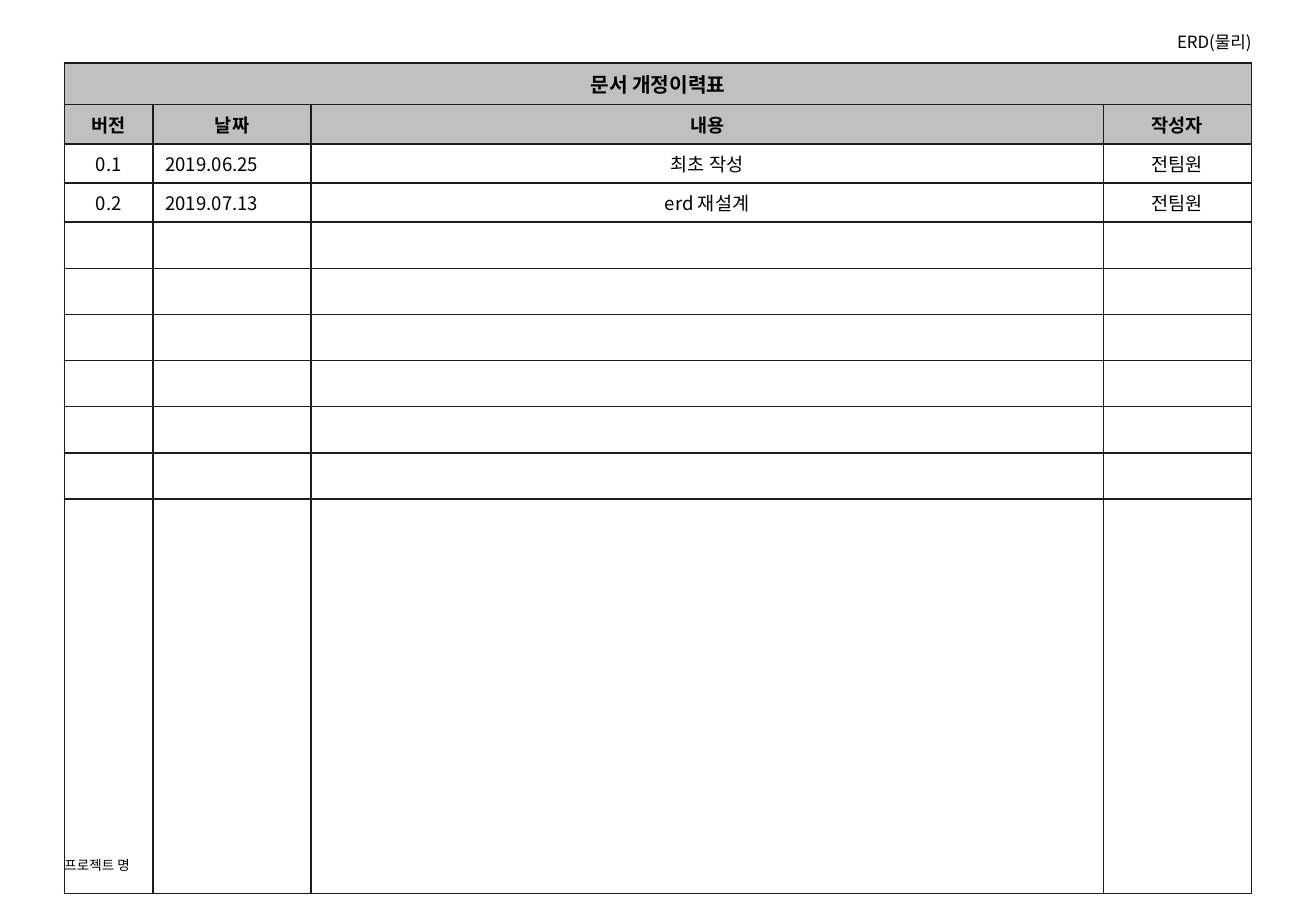
from dataclasses import dataclass

from lxml.etree import SubElement
from pptx import Presentation
from pptx.dml.color import RGBColor
from pptx.enum.text import MSO_ANCHOR as Anchor, MSO_AUTO_SIZE as AutoSize, PP_ALIGN as Align
from pptx.oxml.ns import qn
from pptx.util import Emu, Inches, Pt

FONT = "Noto Sans CJK KR"
INK, BORDER, HEADER_FILL = "000000", "1C1C1C", "C0C0C0"
WIDTH, HEIGHT = Inches(10.83), Inches(7.5)
LEFT, TOP = Inches(0.53), Inches(0.52)
COLUMNS = [0.73, 1.3, 6.52, 1.22]
ROWS = [0.34] + [0.32] * 3 + [0.38] * 6 + [3.25]


@dataclass
class TextStyle:
    size: float
    bold: bool = False
    align: Align = Align.CENTER


@dataclass
class Label:
    text: str
    left: float
    top: float
    width: float
    height: float
    style: TextStyle


@dataclass
class HistoryRow:
    texts: list[str]
    styles: list[TextStyle]
    fill: str | None = None


HEADING = TextStyle(12, True)
COLUMN_HEAD = TextStyle(11, True)
ENTRY = TextStyle(11)
DATE = TextStyle(11, align=Align.LEFT)
ENTRY_STYLES = [ENTRY, DATE, ENTRY, ENTRY]

HISTORY = [
    HistoryRow(["문서 개정이력표", "", "", ""], [HEADING] * 4, HEADER_FILL),
    HistoryRow(["버전", "날짜", "내용", "작성자"], [COLUMN_HEAD] * 4, HEADER_FILL),
    HistoryRow(["0.1", "2019.06.25", "최초 작성", "전팀원"], ENTRY_STYLES),
    HistoryRow(["0.2", "2019.07.13", "erd 재설계", "전팀원"], ENTRY_STYLES),
]
HISTORY += [HistoryRow([""] * 4, ENTRY_STYLES) for _ in ROWS[len(HISTORY):]]

DOCUMENT_TITLE = Label("ERD(물리)", 0.656, 0.035, 0.295, 0.023, TextStyle(10, align=Align.RIGHT))
PROJECT_NAME = Label("프로젝트 명", 0.049, 0.941, 0.328, 0.019, TextStyle(8, align=Align.LEFT))


def color(value: str) -> RGBColor:
    return RGBColor.from_string(value)


def write(frame, text: str, style: TextStyle) -> None:
    frame.text = text
    paragraph = frame.paragraphs[0]
    paragraph.alignment = style.align
    font = paragraph.font
    font.name, font.size, font.bold = FONT, Pt(style.size), style.bold
    font.color.rgb = color(INK)
    defaults = paragraph._p.pPr.find(qn("a:defRPr"))
    SubElement(defaults, qn("a:ea"), typeface=FONT)


def place(shape, label: Label) -> None:
    shape.left, shape.top = Emu(int(label.left * WIDTH)), Emu(int(label.top * HEIGHT))
    shape.width, shape.height = Emu(int(label.width * WIDTH)), Emu(int(label.height * HEIGHT))
    frame = shape.text_frame
    frame.margin_left = frame.margin_right = frame.margin_top = frame.margin_bottom = 0
    frame.word_wrap = True
    frame.auto_size = AutoSize.NONE
    frame.vertical_anchor = Anchor.TOP
    write(frame, label.text, label.style)


def outline(cell) -> None:
    properties = cell._tc.get_or_add_tcPr()
    for side in ("a:lnL", "a:lnR", "a:lnT", "a:lnB"):
        line = SubElement(properties, qn(side), w=str(Pt(1)))
        SubElement(SubElement(line, qn("a:solidFill")), qn("a:srgbClr"), val=BORDER)


def draw_history(slide) -> None:
    table = slide.shapes.add_table(
        len(ROWS), len(COLUMNS), LEFT, TOP, Inches(sum(COLUMNS)), Inches(sum(ROWS))
    ).table
    table.horz_banding = False
    for column, width in zip(table.columns, COLUMNS):
        column.width = Inches(width)
    for row, height, entry in zip(table.rows, ROWS, HISTORY):
        row.height = Inches(height)
        for cell, text, style in zip(row.cells, entry.texts, entry.styles):
            outline(cell)
            if entry.fill:
                cell.fill.solid()
                cell.fill.fore_color.rgb = color(entry.fill)
            else:
                cell.fill.background()
            cell.vertical_anchor = Anchor.MIDDLE
            write(cell.text_frame, text, style)
    table.cell(0, 0).merge(table.cell(0, len(COLUMNS) - 1))


def main() -> None:
    deck = Presentation()
    deck.slide_width, deck.slide_height = WIDTH, HEIGHT
    slide = deck.slides.add_slide(deck.slide_layouts[5])
    draw_history(slide)
    place(slide.shapes.title, DOCUMENT_TITLE)
    place(slide.shapes.add_textbox(0, 0, 0, 0), PROJECT_NAME)
    deck.save("out.pptx")


if __name__ == "__main__":
    main()
